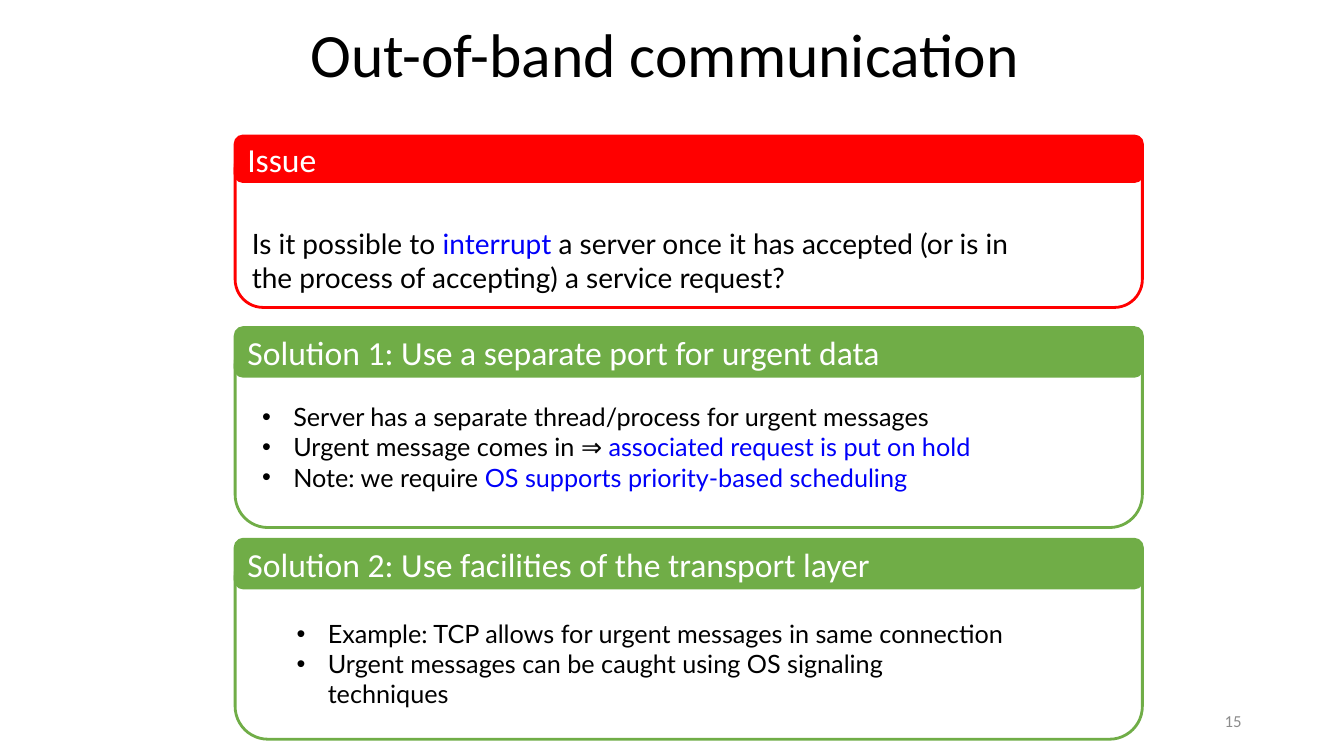
from pptx import Presentation
from pptx.dml.color import RGBColor
from pptx.enum.shapes import MSO_SHAPE
from pptx.enum.text import MSO_ANCHOR, MSO_AUTO_SIZE, PP_ALIGN
from pptx.util import Inches, Pt

ROUNDED = MSO_SHAPE.ROUNDED_RECTANGLE
TOP, MIDDLE = MSO_ANCHOR.TOP, MSO_ANCHOR.MIDDLE
LEFT, CENTER, RIGHT = PP_ALIGN.LEFT, PP_ALIGN.CENTER, PP_ALIGN.RIGHT
FIXED = MSO_AUTO_SIZE.NONE

BLACK = RGBColor(0x00, 0x00, 0x00)
WHITE = RGBColor(0xFF, 0xFF, 0xFF)
GRAY = RGBColor(0x8C, 0x8C, 0x8C)
RED = RGBColor(0xFF, 0x00, 0x00)
GREEN = RGBColor(0x70, 0xAD, 0x47)
BLUE = RGBColor(0x00, 0x00, 0xF9)

COLUMNS, ROWS = 160, 90
PANEL_LEFT, PANEL_WIDTH = 28, 108
SOLUTION_TOP, SOLUTION_STEP = 39, 25.2
HANGING = Inches(0.31)


def write(box, paragraphs, size, font="Calibri", color=BLACK, align=LEFT,
          anchor=TOP, spacing=1.0, hanging=False):
    frame = box.text_frame
    frame.word_wrap = True
    frame.auto_size = FIXED
    frame.vertical_anchor = anchor
    for index, pieces in enumerate(paragraphs):
        para = frame.add_paragraph() if index else frame.paragraphs[0]
        para.alignment = align
        para.line_spacing = spacing
        para.space_before = Pt(0)
        if hanging:
            properties = para._p.get_or_add_pPr()
            properties.set("marL", str(HANGING))
            properties.set("indent", str(-HANGING))
        for text, *changes in pieces:
            span = para.add_run()
            span.text = text
            span.font.size = Pt(size)
            span.font.color.rgb = changes[0] if changes else color
            span.font.name = changes[1] if len(changes) > 1 else font


class SlideBuilder:
    def __init__(self, deck):
        self.column = deck.slide_width / COLUMNS
        self.row = deck.slide_height / ROWS
        self.page = deck.slides.add_slide(deck.slide_layouts[3])
        self.shapes = self.page.shapes

    def area(self, left, top, width, height):
        return (round(left * self.column), round(top * self.row),
                round(width * self.column), round(height * self.row))

    def place(self, box, *cells):
        box.left, box.top, box.width, box.height = self.area(*cells)

    def title(self, text, *cells):
        box = self.shapes.title
        self.place(box, *cells)
        write(box, [[(text,)]], 44, align=CENTER, anchor=MIDDLE, spacing=0.9)

    def text(self, pieces, *cells, **style):
        write(self.shapes.add_textbox(*self.area(*cells)), [pieces], **style)

    def rounded(self, top, height, fill, line):
        box = self.shapes.add_shape(
            ROUNDED, *self.area(PANEL_LEFT, top, PANEL_WIDTH, height))
        box.shadow.inherit = False
        box.fill.solid()
        box.fill.fore_color.rgb = fill
        box.line.color.rgb = line
        box.line.width = Pt(2)
        return box

    def panel(self, heading, top, header_height, frame_height, color):
        self.rounded(top + 0.4, frame_height, WHITE, color)
        header = self.rounded(top, header_height, color, color)
        write(header, [[(heading,)]], 24, color=WHITE, anchor=MIDDLE)

    def bullets(self, number, items, *cells):
        box = self.page.placeholders[number]
        self.place(box, *cells)
        self.shapes._spTree.append(box._element)
        write(box, items, 18, font="Lato", hanging=True)


def main():
    deck = Presentation()
    deck.slide_width, deck.slide_height = Inches(13.33), Inches(7.5)
    builder = SlideBuilder(deck)

    builder.title("Out-of-band communication ", 26, 0, 108, 13.8)
    builder.text([("15",)], 113, 83.4, 36, 4.8,
                 size=12, color=GRAY, align=RIGHT, anchor=MIDDLE)

    builder.panel("Issue", 16.2, 5.4, 20, RED)
    builder.text([("Is it possible to ",), ("interrupt ", BLUE),
                  ("a server once it has accepted (or is in the process of "
                   "accepting) a service request?",)],
                 28.8, 26.4, 97.2, 9.2, size=20, font="Lato")

    solutions = [
        ("Solution 1: Use a separate port for urgent data",
         [[("Server has a separate thread/process for urgent messages",)],
          [("Urgent message comes in ",), ("⇒ ", BLACK, "Roboto"),
           ("associated request is put on hold", BLUE)],
          [("Note: we require ",),
           ("OS supports priority-based scheduling", BLUE)]],
         (30, 47.2, 94, 12.1)),
        ("Solution 2: Use facilities of the transport layer",
         [[("Example: TCP allows for urgent messages in same connection",)],
          [("Urgent messages can be caught using OS signaling techniques",)]],
         (34.1, 73, 87, 8.5)),
    ]
    for index, (heading, items, cells) in enumerate(solutions):
        builder.panel(heading, SOLUTION_TOP + index * SOLUTION_STEP,
                      5.8, 23.4, GREEN)
        builder.bullets(index + 1, items, *cells)

    deck.save("out.pptx")


if __name__ == "__main__":
    main()
